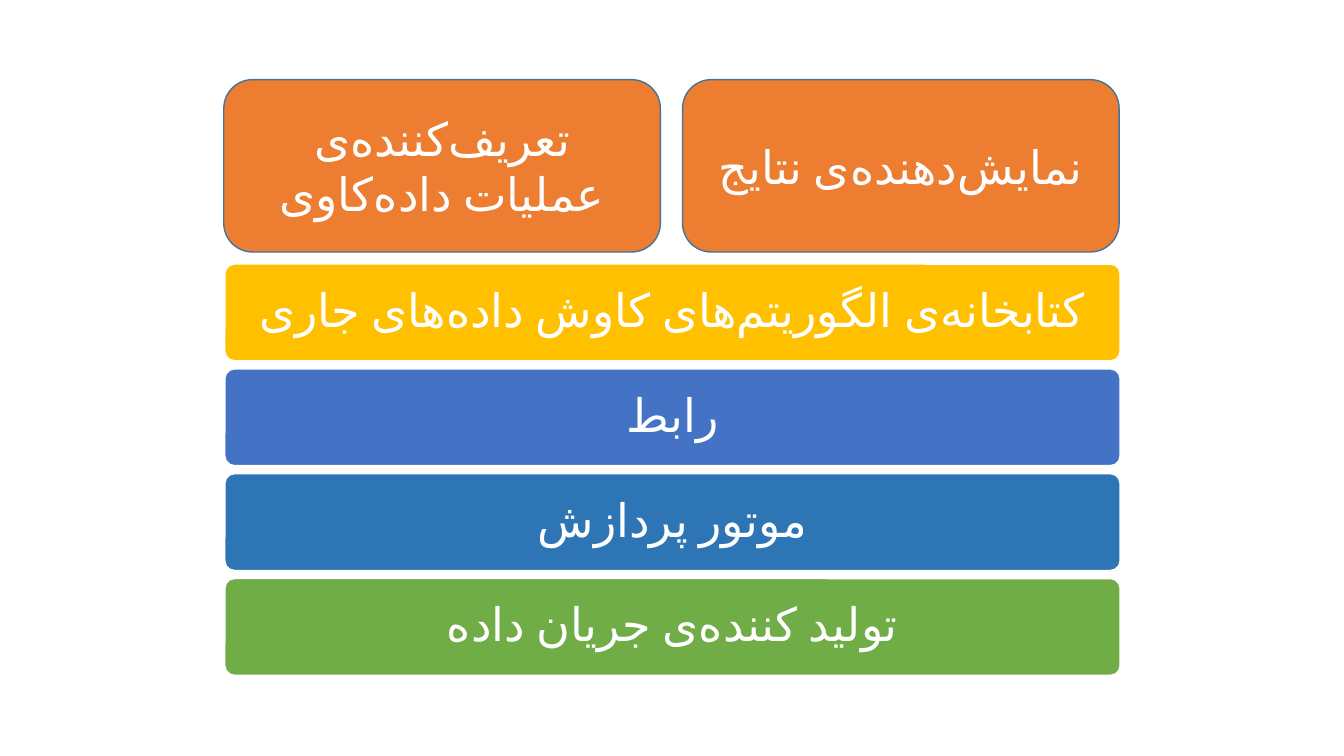
from pptx import Presentation
from pptx import util as u
from pptx.dml.color import RGBColor
from pptx.enum import shapes, text

WHITE = RGBColor(0xFF, 0xFF, 0xFF)
ORANGE = RGBColor(0xED, 0x7D, 0x31)
STEEL = RGBColor(0x43, 0x73, 0x9E)
GOLD = RGBColor(0xFF, 0xC0, 0x00)
INDIGO = RGBColor(0x44, 0x72, 0xC4)
BLUE = RGBColor(0x2E, 0x75, 0xB6)
GREEN = RGBColor(0x70, 0xAD, 0x47)


class LayerDiagram:
    font_name = "Calibri"
    font_size = u.Pt(33)
    language = "fa-IR"

    def __init__(self, slide):
        self.slide = slide

    def box(self, label, left, top, width, height, fill, line, corner, inset, line_spacing):
        shape = self.slide.shapes.add_shape(
            shapes.MSO_SHAPE.ROUNDED_RECTANGLE,
            u.Inches(left), u.Inches(top), u.Inches(width), u.Inches(height))
        shape.adjustments[0] = corner
        shape.shadow.inherit = False
        shape.fill.solid()
        shape.fill.fore_color.rgb = fill
        shape.line.color.rgb = line
        shape.line.width = u.Pt(1)
        frame = shape.text_frame
        frame.word_wrap = True
        frame.vertical_anchor = text.MSO_ANCHOR.MIDDLE
        frame.margin_left = frame.margin_right = u.Inches(inset)
        paragraph = frame.paragraphs[0]
        paragraph.alignment = text.PP_ALIGN.CENTER
        paragraph.line_spacing = line_spacing
        paragraph._p.get_or_add_pPr().set("rtl", "1")
        self.run(paragraph, label)

    def run(self, paragraph, label):
        run = paragraph.add_run()
        run.text = label
        run.font.name = self.font_name
        run.font.size = self.font_size
        run.font.color.rgb = WHITE
        run.font._element.set("lang", self.language)

    def tool(self, label, left):
        self.box(label, left, 0.79, 4.33, 1.71, ORANGE, STEEL, 0.1667, 0.1, 1.0)

    def layer(self, label, top, fill):
        self.box(label, 2.23, top, 8.88, 0.96, fill, WHITE, 0.1, 0.14, 0.9)


presentation = Presentation()
presentation.slide_width = u.Inches(13.33)
presentation.slide_height = u.Inches(7.5)
diagram = LayerDiagram(presentation.slides.add_slide(presentation.slide_layouts[6]))

LAYERS = [
    ("کتابخانه\u200cی الگوریتم\u200cهای کاوش داده\u200cهای جاری", GOLD),
    ("رابط", INDIGO),
    ("موتور پردازش", BLUE),
    ("تولید کننده\u200cی جریان داده", GREEN),
]
FIRST_LAYER_TOP = 2.62
LAYER_PITCH = 1.04

for index, (label, fill) in enumerate(LAYERS):
    diagram.layer(label, FIRST_LAYER_TOP + index * LAYER_PITCH, fill)

diagram.tool("تعریف\u200cکننده\u200cی عملیات داده\u200cکاوی", 2.22)
diagram.tool("نمایش\u200cدهنده\u200cی نتایج", 6.77)

presentation.save("out.pptx")
